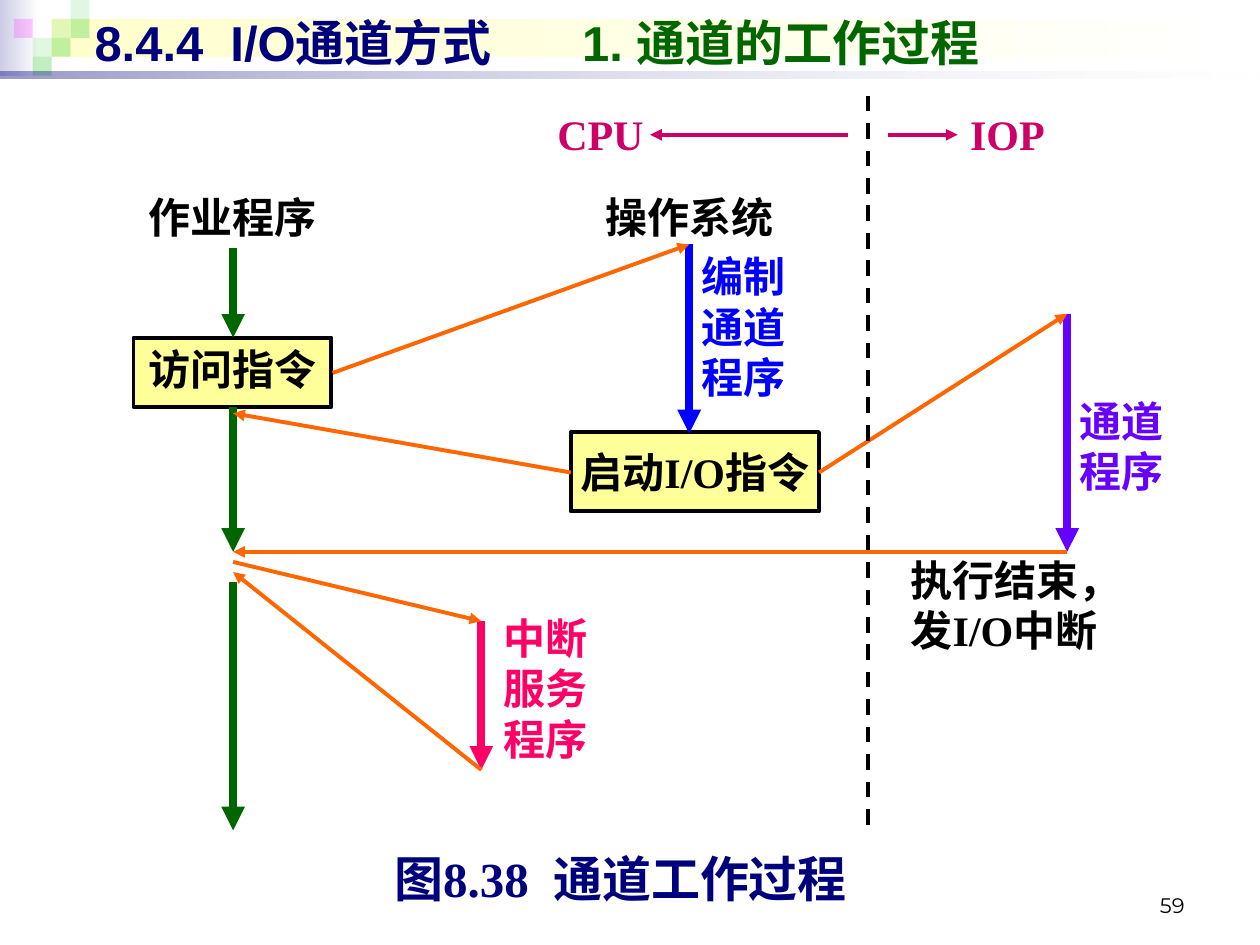
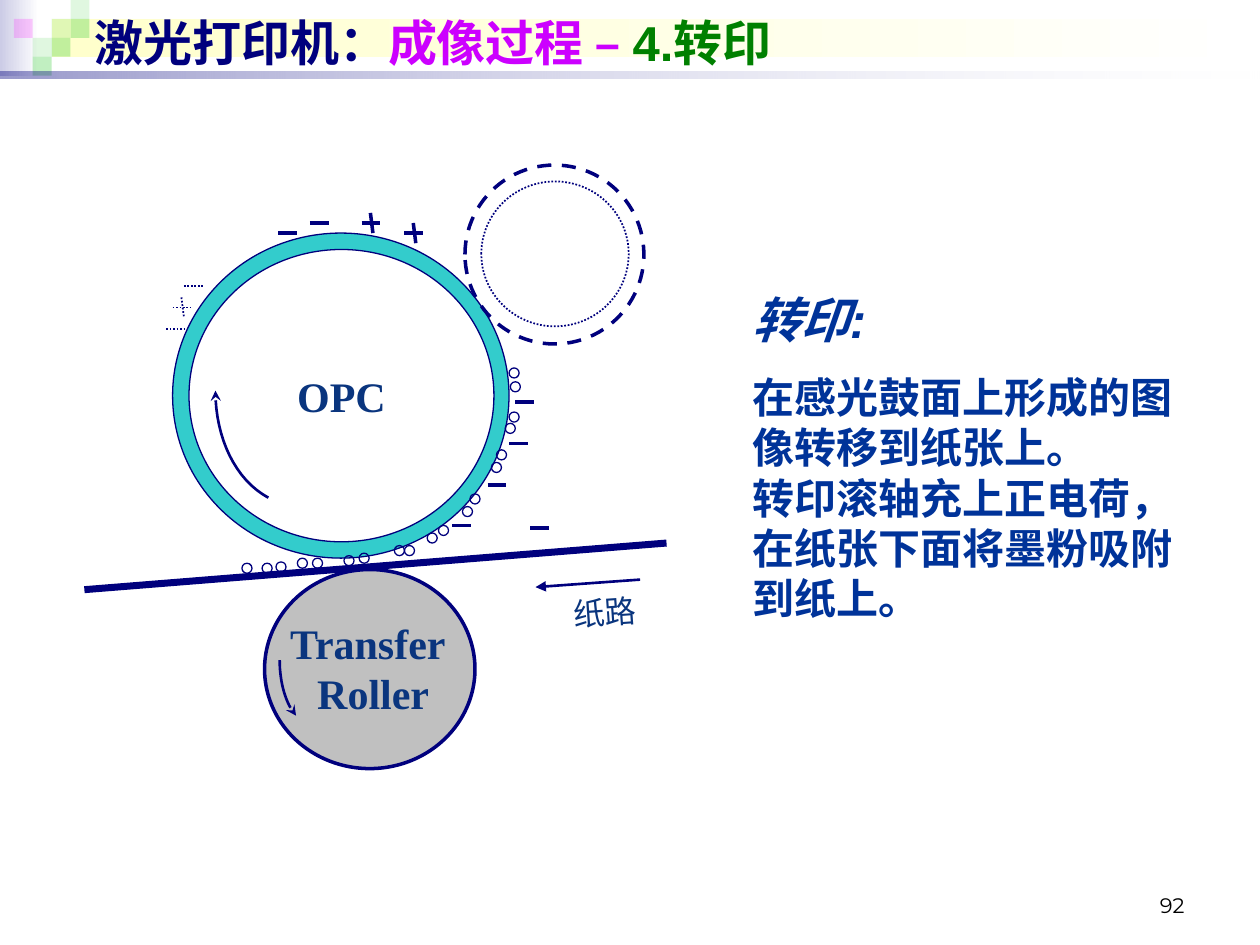
from dataclasses import dataclass

from lxml import etree
from pptx import Presentation
from pptx.dml.color import RGBColor
from pptx.enum.dml import MSO_LINE
from pptx.enum.shapes import MSO_CONNECTOR, MSO_SHAPE
from pptx.enum.text import MSO_ANCHOR, PP_ALIGN
from pptx.oxml.ns import qn
from pptx.util import Pt

PX = 9144  # EMU in one px, 100 px to the inch
RECT, OVAL = MSO_SHAPE.RECTANGLE, MSO_SHAPE.OVAL
STRAIGHT = MSO_CONNECTOR.STRAIGHT
DASH, DOT = MSO_LINE.DASH, MSO_LINE.ROUND_DOT
LEFT, MID, RIGHT = PP_ALIGN.LEFT, PP_ALIGN.CENTER, PP_ALIGN.RIGHT
TOP, CENTER, BASE = MSO_ANCHOR.TOP, MSO_ANCHOR.MIDDLE, MSO_ANCHOR.BOTTOM


@dataclass(frozen=True)
class Theme:
    navy: str = "00007D"
    black: str = "000000"
    white: str = "FFFFFF"
    green: str = "006600"
    leaf: str = "008000"
    violet: str = "CC00FF"
    orange: str = "FF6600"
    blue: str = "0000FF"
    purple: str = "6600FF"
    rose: str = "FF0066"
    plum: str = "CC0066"
    cream: str = "FFFF99"
    teal: str = "33CCCC"
    gray: str = "C0C0C0"
    ink: str = "0A357E"
    note: str = "003399"
    mint: str = "33CC33"
    pink: str = "FF00FF"
    haze: str = "CCCCE6"
    pale: str = "FFFFCC"
    sans: str = "Arial"
    serif: str = "Times New Roman"
    digit: str = "Montserrat"
    head: int = 28
    body: int = 24
    small: int = 18
    tiny: int = 12


T = Theme()


def emu(*nums):
    return [round(n * PX) for n in nums]


def rgb(code):
    return RGBColor.from_string(code)


def write(frame, *paras, font=T.serif, size=T.body, color=T.black, bold=True,
          italic=False, align=LEFT, anchor=TOP, wrap=True, gap=0, lead=None, tab=None):
    """Fill a frame; a paragraph is a string or a list of (text, changes) runs."""
    frame.word_wrap = wrap
    frame.vertical_anchor = anchor
    base = dict(font=font, size=size, color=color, italic=italic)
    for i, runs in enumerate(paras):
        para = frame.add_paragraph() if i else frame.paragraphs[0]
        if tab:
            tabs = etree.SubElement(para._p.get_or_add_pPr(), qn("a:tabLst"))
            etree.SubElement(tabs, qn("a:tab"), pos=str(tab * PX), algn="l")
        para.alignment = align
        para.space_before = Pt(gap if i else 0)
        if lead:
            para.line_spacing = lead
        for text, change in [(runs, {})] if isinstance(runs, str) else runs:
            look = {**base, **change}
            for j, part in enumerate(text.split("\n")):
                if j:
                    para.add_line_break()
                run = para.add_run()
                run.text = part
                run.font.name = look["font"]
                run.font.size = Pt(look["size"])
                run.font.bold = bold
                run.font.italic = look["italic"]
                run.font.color.rgb = rgb(look["color"])


class Deck:
    def __init__(self):
        self.prs = Presentation()
        self.prs.slide_width, self.prs.slide_height = emu(1000, 750)
        self.layout = self.prs.slide_layouts[5]
        self.slide = None

    def page(self, number, *runs, tab=None):
        first = self.slide is None
        self.slide = self.prs.slides.add_slide(self.layout)
        if first:
            self.band()
        title = self.slide.shapes.title
        title.left, title.top, title.width, title.height = emu(65, 5, 900, 57)
        write(title.text_frame, runs, font=T.sans, size=T.head, color=T.navy,
              anchor=CENTER, tab=tab)
        self.text((717, 683, 233, 50), number, font=T.digit, size=T.tiny,
                  bold=False, align=RIGHT, anchor=BASE)

    def band(self):
        """Draw the header once and keep it on the shared layout."""
        parts = [self.shape(RECT, (0, 0, 31, 60), (T.haze, T.white)),
                 self.shape(RECT, (41, 15, 955, 30), (T.pale, T.white))]
        for x, y, color, alpha in [
                (41, 15, T.mint, 15), (56, 0, T.mint, 15), (56, 15, T.mint, 30),
                (26, 30, T.mint, 15), (11, 15, T.pink, 20), (41, 30, T.mint, 30),
                (26, 45, T.mint, 30)]:
            parts.append(self.shape(RECT, (x, y, 15, 15), color, alpha=(alpha,)))
        parts.append(self.shape(RECT, (0, 57, 1000, 5), (T.navy, T.white), alpha=(40, 10)))
        for part in parts:
            self.layout.shapes.element.append(part.element)

    def shape(self, kind, box, fill=None, line=None, width=0.75, dash=None, alpha=()):
        item = self.slide.shapes.add_shape(kind, *emu(*box))
        item.shadow.inherit = False
        if fill is None:
            item.fill.background()
        elif isinstance(fill, tuple):
            item.fill.gradient()
            item.fill.gradient_angle = 0
            for stop, color in zip(item.fill.gradient_stops, fill):
                stop.color.rgb = rgb(color)
        else:
            item.fill.solid()
            item.fill.fore_color.rgb = rgb(fill)
        for node, part in zip(item.element.spPr.iter(qn("a:srgbClr")), alpha):
            etree.SubElement(node, qn("a:alpha"), val=str(part * 1000))
        if line:
            self.pen(item, line, width, dash)
        else:
            item.line.fill.background()
        return item

    def pen(self, item, color, width, dash=None, tip=None):
        item.line.color.rgb = rgb(color)
        item.line.width = Pt(width)
        if dash:
            item.line.dash_style = dash
        if tip:
            line = item.element.spPr.find(qn("a:ln"))
            etree.SubElement(line, qn("a:tailEnd"), type=tip)

    def line(self, start, end, color=T.navy, width=2, dash=None, tip=None):
        item = self.slide.shapes.add_connector(STRAIGHT, *emu(*start, *end))
        self.pen(item, color, width, dash, tip)
        etree.SubElement(item.element.spPr, qn("a:effectLst"))

    def arrow(self, start, end, color=T.orange, width=2.25):
        self.line(start, end, color, width, tip="triangle")

    def curve(self, *knots, steps=16):
        """Draw a cubic curve through four control points, with an arrowhead."""
        dots = []
        for i in range(steps + 1):
            t = i / steps
            rates = ((1 - t) ** 3, 3 * t * (1 - t) ** 2, 3 * t * t * (1 - t), t ** 3)
            dots.append(emu(*(sum(r * k[n] for r, k in zip(rates, knots)) for n in (0, 1))))
        path = self.slide.shapes.build_freeform(*dots[0])
        path.add_line_segments(dots[1:], close=False)
        item = path.convert_to_shape()
        item.shadow.inherit = False
        item.fill.background()
        self.pen(item, T.navy, 1.5, tip="stealth")

    def text(self, box, *paras, turn=0, **look):
        item = self.slide.shapes.add_textbox(*emu(*box))
        item.rotation = turn
        write(item.text_frame, *paras, **look)


def channel(deck):
    deck.page("59", ("8.4.4  I/O通道方式\t", {}),
              ("1. 通道的工作过程", {"color": T.green}), tab=387)
    job, system, iop, service = 185, 547, 847, 382  # x of each time line

    # Instruction boxes
    for box, label, anchor in [((106, 268, 157, 55), "访问指令", TOP),
                               ((453, 343, 197, 63), "启动I/O指令", CENTER)]:
        item = deck.shape(RECT, box, T.cream, T.black, 2.25)
        write(item.text_frame, label, align=MID, anchor=anchor, wrap=False)

    # Time lines
    for x, top, end, color in [
            (job, 197, 268, T.green), (job, 323, 438, T.green), (job, 462, 659, T.green),
            (service, 493, 611, T.rose), (system, 194, 344, T.blue),
            (iop, 249, 438, T.purple)]:
        deck.arrow((x, top), (x, end), color, 4.5)

    # Transfers of control
    for start, end in [
            ((264, 296), (system, 194)), ((453, 375), (job, 328)),
            ((iop, 438), (job, 438)), ((650, 375), (iop, 249)),
            ((job, 446), (service, 493)), ((service, 611), (job, 454))]:
        deck.arrow(start, end)

    # Border between processor and channel
    deck.line((689, 76), (689, 659), T.black, 2.25, DASH)
    deck.arrow((673, 107), (516, 107), T.plum)
    deck.arrow((705, 107), (760, 107), T.plum)

    # Labels
    for box, label, color, align in [
            ((98, 147, 173, 50), "作业程序", T.black, MID),
            ((461, 147, 173, 50), "操作系统", T.black, MID),
            ((429, 81, 95, 50), "CPU", T.plum, MID),
            ((752, 81, 95, 50), "IOP", T.plum, MID),
            ((system, 194, 94, 130), "编制通道程序", T.blue, LEFT),
            ((iop, 309, 94, 90), "通道程序", T.purple, LEFT),
            ((390, 481, 94, 130), "中断服务程序", T.rose, LEFT),
            ((713, 435, 197, 90), "执行结束，\n发I/O中断", T.black, LEFT)]:
        deck.text(box, label, color=color, align=align)
    deck.text((264, 674, 457, 55), "图8.38  通道工作过程", size=T.head,
              color=T.navy, align=MID, lead=0.9)


def printer(deck):
    deck.page("92", ("激光打印机：", {}), ("成像过程 – ", {"color": T.violet}),
              ("4.转印", {"color": T.leaf}))

    # Explanation
    deck.text((587, 225, 362, 279),
              [("转印:", {"size": T.head, "italic": True})],
              "在感光鼓面上形成的图像转移到纸张上。\n转印滚轴充上正电荷，在纸张下面将墨粉吸附到纸上。",
              font=T.sans, color=T.note, gap=13)

    # Drum and developer
    deck.shape(OVAL, (137, 185, 267, 258), T.teal, T.navy)
    drum = deck.shape(OVAL, (150, 198, 242, 232), T.white, T.navy)
    write(drum.text_frame, "OPC", color=T.ink, align=MID, anchor=CENTER, wrap=False)
    deck.curve((213, 395), (187, 381), (171, 348), (171, 310))
    deck.shape(OVAL, (369, 131, 142, 142), None, T.navy, 2, DASH)
    deck.shape(OVAL, (382, 144, 117, 115), None, T.navy, 1, DOT)

    # Charges: minus signs, and plus signs with an upright stroke
    solid, faint = dict(width=2), dict(width=1, dash=DOT)
    plus = [(321, 185, solid), (287, 177, solid), (137, 244, faint)]
    minus = [(x, y, solid) for x, y in [(246, 177), (221, 185), (409, 319), (404, 352),
                                        (387, 385), (359, 417), (421, 419)]]
    minus += [(146, 227, faint), (132, 261, faint)]
    for x, y, look in plus + minus:
        deck.line((x, y), (x + 15, y), **look)
    for x, y, look in plus:
        deck.line((x + 7, y - 8), (x + 9, y + 8), **look)

    # Paper and transfer roller
    deck.line((67, 468), (529, 431), width=4)
    deck.shape(OVAL, (210, 452, 167, 158), T.gray, T.navy, 2)
    deck.text((213, 485, 158, 90), "Transfer", " Roller", color=T.ink, align=MID)
    deck.curve((222, 524), (222, 542), (227, 559), (235, 568))
    deck.arrow((508, 460), (425, 466), T.navy, 1.5)
    deck.text((445, 462, 167, 40), "纸路", turn=-4, font=T.sans, size=T.small,
              color=T.ink, bold=False)

    # Toner
    for x, y in [(404, 292), (405, 303), (404, 327), (401, 336), (394, 357), (390, 367),
                 (373, 392), (367, 402), (348, 417), (339, 423), (321, 433), (313, 433),
                 (285, 439), (273, 441), (248, 443), (236, 443), (219, 446), (208, 447),
                 (192, 447)]:
        deck.shape(OVAL, (x, y, 8, 8), None, T.navy)


def main():
    deck = Deck()
    channel(deck)
    printer(deck)
    deck.prs.save("out.pptx")


if __name__ == "__main__":
    main()
